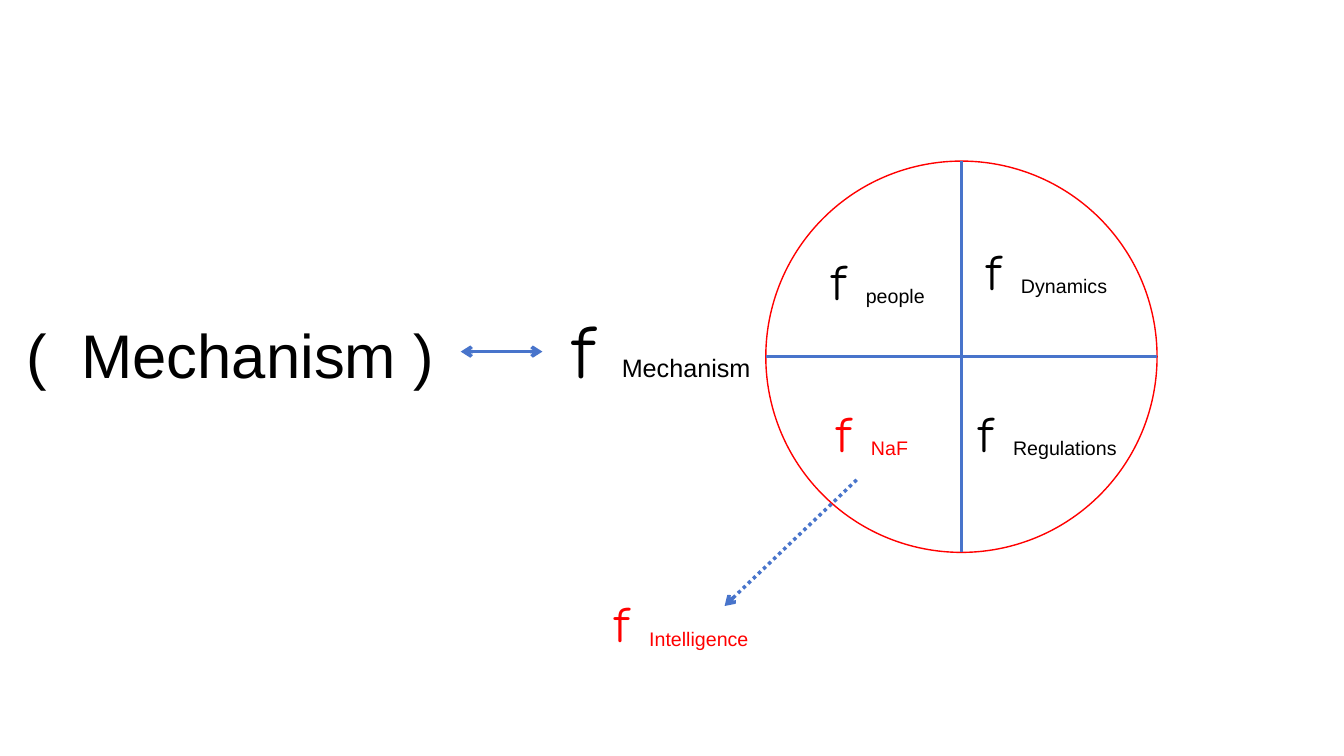
from lxml.etree import SubElement
from pptx import Presentation
from pptx.dml.color import RGBColor
from pptx.enum.dml import MSO_LINE
from pptx.enum.shapes import MSO_CONNECTOR, MSO_SHAPE
from pptx.enum.text import MSO_ANCHOR, PP_ALIGN
from pptx.oxml.ns import qn
from pptx.util import Cm, Pt

COLORS = {"black": "000000", "red": "FF0000", "blue": "4874CB"}

deck = Presentation()
deck.slide_width, deck.slide_height = Cm(33.87), Cm(19.05)
slide = deck.slides.add_slide(deck.slide_layouts[6])


def add_text(text, spot, size, color, font="Arial", anchor=MSO_ANCHOR.TOP, align=PP_ALIGN.LEFT):
    frame = slide.shapes.add_textbox(*map(Cm, spot)).text_frame
    frame.word_wrap = True
    frame.vertical_anchor = anchor
    para = frame.paragraphs[0]
    para.alignment = align
    run = para.add_run()
    run.text = text
    for key, value in {"name": font, "size": Pt(size)}.items():
        setattr(run.font, key, value)
    run.font.color.rgb = RGBColor.from_string(COLORS[color])


def add_line(start, end, ends=(), dash=None):
    """Draw a blue line; ends lists the arrowhead tags in schema order."""
    link = slide.shapes.add_connector(MSO_CONNECTOR.STRAIGHT, *map(Cm, start + end))
    link.line.color.rgb = RGBColor.from_string(COLORS["blue"])
    link.line.width = Pt(2.5)
    if dash:
        link.line.dash_style = dash
    props = link._element.spPr
    for tag in ends:
        SubElement(props.find(qn("a:ln")), qn(tag), type="arrow")
    SubElement(props, qn("a:effectLst"))


# Mechanism and its function
add_text("(  Mechanism )", (0.41, 6.05, 10.8, 5.72), 44, "black",
         anchor=MSO_ANCHOR.MIDDLE, align=PP_ALIGN.CENTER)
add_line((11.61, 8.86), (13.67, 8.86), ("a:headEnd", "a:tailEnd"))

# Each f with its subscript
main, part = (54, 18, 1.25, 1.02), (36, 14, 0.87, 0.86)
terms = [
    ("Mechanism", 14.17, 7.26, "black", main),
    ("Dynamics", 24.61, 5.28, "black", part),
    ("Regulations", 24.41, 9.37, "black", part),
    ("people", 20.7, 5.54, "black", part),
    ("NaF", 20.83, 9.37, "red", part),
    ("Intelligence", 15.24, 14.17, "red", part),
]
for name, left, top, color, (big, small, shift, height) in terms:
    add_text("f", (left, top, 2.95, 3.05), big, color, "Comic Neue", MSO_ANCHOR.MIDDLE)
    add_text(name, (left + shift, top + 1.5, 3.89, height), small, color)

# Circle cut into quarters
left, top, width = 19.3, 4.06, 9.86
mid_x, mid_y = left + width / 2, top + width / 2
circle = slide.shapes.add_shape(MSO_SHAPE.OVAL, *map(Cm, (left, top, width, width)))
circle.shadow.inherit = False
circle.fill.background()
circle.line.color.rgb = RGBColor.from_string(COLORS["red"])
circle.line.width = Pt(1)
add_line((mid_x, top), (mid_x, top + width))
add_line((left, mid_y), (left + width, mid_y))

# From NaF to Intelligence
add_line((21.59, 12.09), (18.26, 15.27), ("a:tailEnd",), MSO_LINE.ROUND_DOT)

deck.save("out.pptx")
